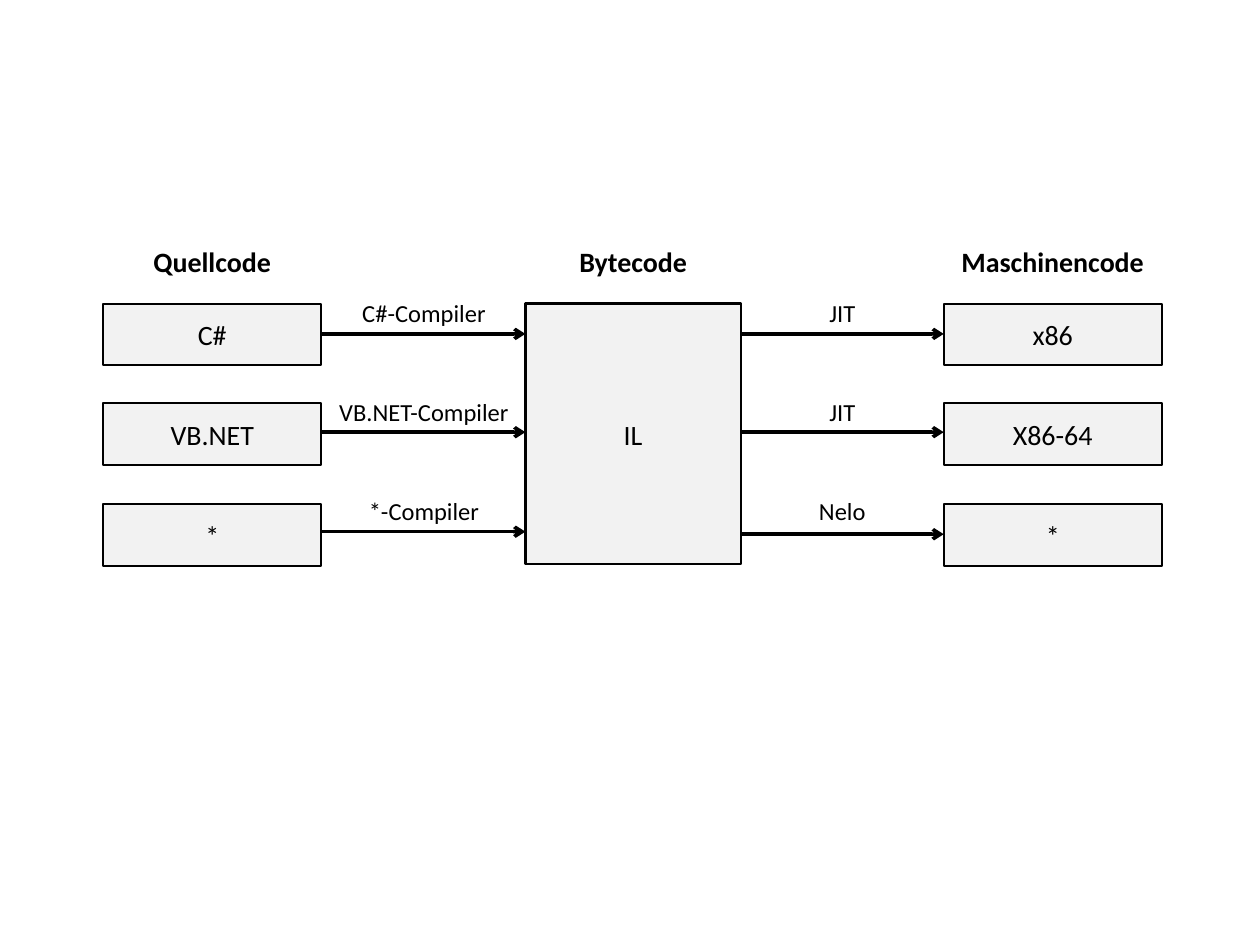
from lxml import etree
from pptx import Presentation
from pptx.dml.color import RGBColor
from pptx.enum import shapes, text
from pptx.oxml.ns import qn
from pptx.util import Inches, Pt

COLORS = {"ink": "000000", "box": "F2F2F2"}
INK = RGBColor.from_string(COLORS["ink"])

prs = Presentation()
prs.slide_width, prs.slide_height = Inches(10), Inches(7.5)
s = prs.slides.add_slide(prs.slide_layouts[6])


def add_text(x, y, w, h, label, size, bold=False, boxed=False):
    """Add centred text, either in a filled box or in a plain text box."""
    pos = [Inches(v) for v in (x, y, w, h)]
    if boxed:
        sp = s.shapes.add_shape(shapes.MSO_SHAPE.RECTANGLE, *pos)
        sp.shadow.inherit = False
        sp.fill.solid()
        sp.fill.fore_color.rgb = RGBColor.from_string(COLORS["box"])
        sp.line.color.rgb = INK
        sp.line.width = Pt(1.25)
    else:
        sp = s.shapes.add_textbox(*pos)
    tf = sp.text_frame
    tf.word_wrap = True
    if boxed:
        tf.margin_left = tf.margin_right = tf.margin_top = tf.margin_bottom = 0
        tf.vertical_anchor = text.MSO_ANCHOR.MIDDLE
    else:
        tf.auto_size = text.MSO_AUTO_SIZE.SHAPE_TO_FIT_TEXT
    tf.text = label
    p = tf.paragraphs[0]
    p.alignment = text.PP_ALIGN.CENTER
    font = p.runs[0].font
    font.name, font.size, font.bold = "Calibri", Pt(size), bold
    font.color.rgb = INK


def add_arrow(x1, x2, y):
    """Add a horizontal arrow pointing right."""
    cx = s.shapes.add_connector(shapes.MSO_CONNECTOR.STRAIGHT,
                                Inches(x1), Inches(y), Inches(x2), Inches(y))
    cx.line.color.rgb = INK
    cx.line.width = Pt(2)
    props = cx.element.spPr
    etree.SubElement(props.find(qn("a:ln")), qn("a:tailEnd"), type="arrow")
    etree.SubElement(props, qn("a:effectLst"))


source_x, bytecode_x, machine_x = 0.82, 4.17, 7.49
box_w, bytecode_w, box_h = 1.73, 1.71, 0.49
source_end, bytecode_end = source_x + box_w, bytecode_x + bytecode_w
gap_w = machine_x - bytecode_end

columns = [(source_x, box_w, "Quellcode"),
           (bytecode_x, bytecode_w, "Bytecode"),
           (machine_x, box_w, "Maschinencode")]
for x, w, heading in columns:
    add_text(x, 1.89, w, 0.37, heading, 16, bold=True)

add_text(bytecode_x, 2.41, bytecode_w, 2.07, "IL", 16, boxed=True)

# Row top, source language, compiler, runtime, target, arrow heights
rows = [(2.41, "C#", "C#-Compiler", "JIT", "x86", 2.65, 2.65),
        (3.2, "VB.NET", "VB.NET-Compiler", "JIT", "X86-64", 3.43, 3.43),
        (4.0, "*", "*-Compiler", "Nelo", "*", 4.22, 4.24)]
for top, language, compiler, runtime, target, y_in, y_out in rows:
    add_text(source_x, top, box_w, box_h, language, 16, boxed=True)
    add_text(machine_x, top, box_w, box_h, target, 16, boxed=True)
    add_arrow(source_end, bytecode_x, y_in)
    add_arrow(bytecode_end, machine_x, y_out)
    label_y = y_in - 0.33
    add_text(source_end + 0.01, label_y, gap_w, 0.34, compiler, 14)
    add_text(bytecode_end, label_y, gap_w, 0.34, runtime, 14)

prs.save("out.pptx")
